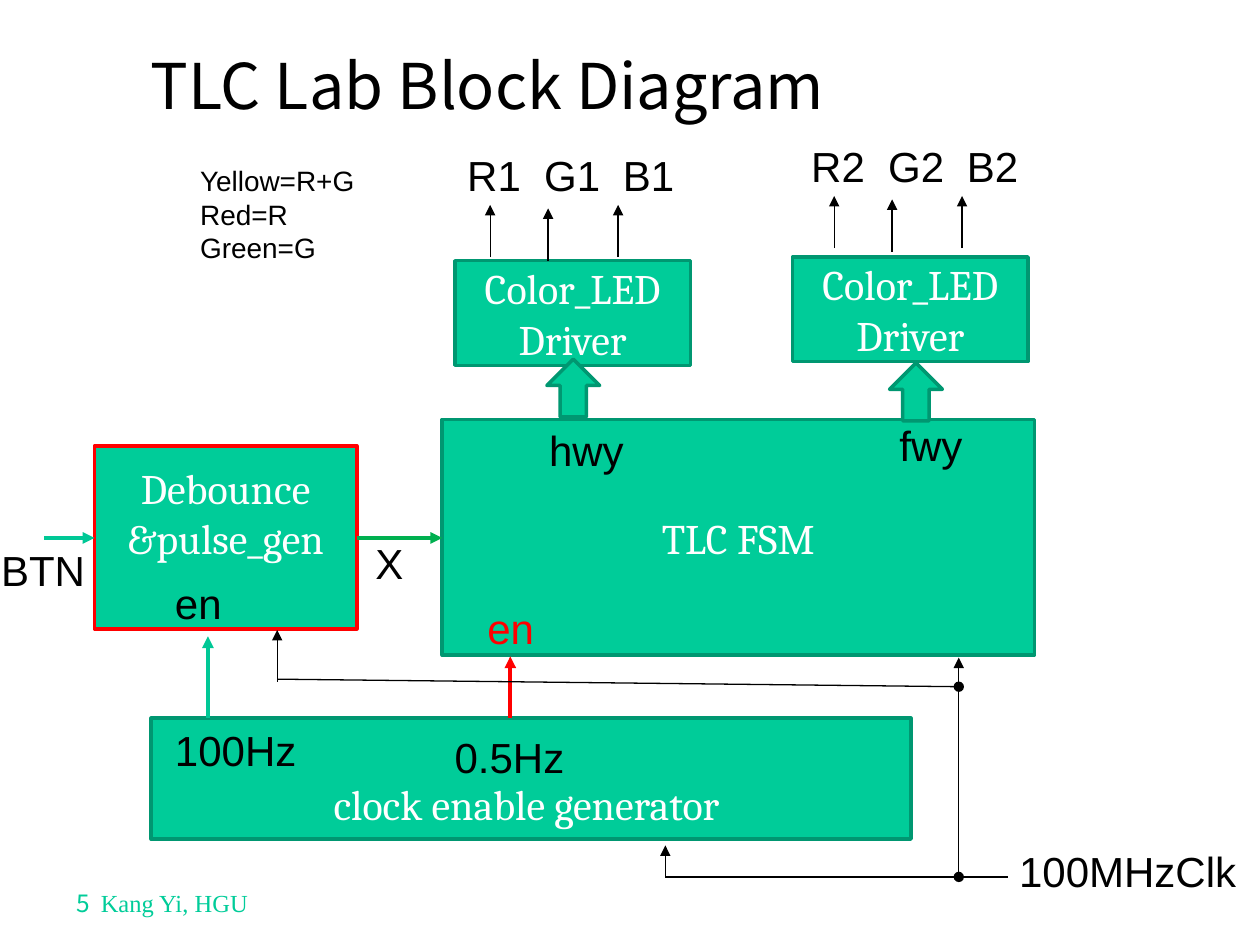
from lxml.etree import SubElement
from pptx import Presentation
from pptx.dml.color import RGBColor
from pptx.enum.shapes import MSO_CONNECTOR, MSO_SHAPE
from pptx.enum.text import MSO_ANCHOR, PP_ALIGN
from pptx.oxml.ns import qn
from pptx.util import Pt

GREEN, EDGE, MINT = "00CC99", "009771", "00C896"
BLACK, WHITE, RED = "000000", "FFFFFF", "FF0000"
SANS = "Noto Sans CJK KR"


def color(hex_code):
    return RGBColor.from_string(hex_code)


class Diagram:
    """Holds the diagram's style and the slide being drawn."""

    label_font, block_font, text_size = "Arial", "Cambria", 24

    def __init__(self, slide):
        self.slide = slide

    def set_text(self, frame, text, font, size, ink, align):
        frame.text = text
        for paragraph in frame.paragraphs:
            paragraph.alignment = align
            paragraph.font.name = font
            paragraph.font.size = Pt(size)
            paragraph.font.color.rgb = color(ink)

    def shape(self, kind, x, y, w, h, edge=EDGE, weight=2):
        shape = self.slide.shapes.add_shape(kind, Pt(x), Pt(y), Pt(w), Pt(h))
        shape.shadow.inherit = False
        shape.fill.solid()
        shape.fill.fore_color.rgb = color(GREEN)
        shape.line.color.rgb = color(edge)
        shape.line.width = Pt(weight)
        return shape

    def block(self, x, y, w, h, text, edge=EDGE, weight=2, top=3.6, bottom=3.6):
        """Draw a named block; top and bottom are its text insets."""
        frame = self.shape(MSO_SHAPE.RECTANGLE, x, y, w, h, edge, weight).text_frame
        frame.word_wrap = True
        frame.vertical_anchor = MSO_ANCHOR.MIDDLE
        frame.margin_top, frame.margin_bottom = Pt(top), Pt(bottom)
        self.set_text(frame, text, self.block_font, self.text_size, WHITE, PP_ALIGN.CENTER)

    def up_arrow(self, x, y):
        self.shape(MSO_SHAPE.UP_ARROW, x, y, 30.2, 33.1)

    def label(self, x, y, w, text, h=36, font=label_font, size=text_size,
              ink=BLACK, align=PP_ALIGN.LEFT, wrap=False, tabs=()):
        box = self.slide.shapes.add_textbox(Pt(x), Pt(y), Pt(w), Pt(h))
        frame = box.text_frame
        frame.word_wrap = wrap
        self.set_text(frame, text, font, size, ink, align)
        if tabs:
            properties = frame.paragraphs[0]._p.get_or_add_pPr()
            stops = SubElement(properties, qn("a:tabLst"))
            for stop in tabs:
                SubElement(stops, qn("a:tab"), pos=str(Pt(stop)), algn="l")
            properties.insert(0, stops)
        return frame

    def wire(self, x1, y1, x2, y2, ink=BLACK, weight=0.75, arrow=True, dot=False):
        """Draw a line, with a dot at its start or an arrow at its end."""
        line = self.slide.shapes.add_connector(
            MSO_CONNECTOR.STRAIGHT, Pt(x1), Pt(y1), Pt(x2), Pt(y2))
        line.line.color.rgb = color(ink)
        line.line.width = Pt(weight)
        properties = line._element.spPr
        stroke = properties.get_or_add_ln()
        if dot:
            SubElement(stroke, qn("a:headEnd"), type="oval")
        if arrow:
            SubElement(stroke, qn("a:tailEnd"), type="triangle")
        SubElement(properties, qn("a:effectLst"))

    def led_outputs(self, x, y, names):
        """Draw the three colour signals that leave an LED driver."""
        for dx, dy in ((20.2, 0), (53.3, 2), (93.3, 0)):
            self.wire(x + dx, y + 64.8 + dy, x + dx, y + 35 + dy)
        self.label(x, y, 134.6, names, wrap=True, tabs=(44, 89))


def main():
    deck = Presentation()
    deck.slide_width, deck.slide_height = Pt(720), Pt(540)
    diagram = Diagram(deck.slides.add_slide(deck.slide_layouts[6]))

    title = diagram.label(48.2, 18, 460.8, "TLC Lab Block Diagram", h=60, font=SANS,
                          size=36, align=PP_ALIGN.CENTER, wrap=True)
    title.vertical_anchor = MSO_ANCHOR.MIDDLE
    footer = diagram.label(36.8, 504, 131, "5", h=24, font=SANS, size=14,
                           ink=GREEN, wrap=True, tabs=(13.7,))
    author = footer.paragraphs[0].add_run()
    author.text = "\tKang Yi, HGU"
    author.font.name = "Times New Roman"

    diagram.block(252.7, 239.8, 338.4, 134.6, "TLC FSM")
    diagram.block(86.4, 410.4, 434.2, 69.1, "clock enable generator ", top=32)
    diagram.block(54, 254.9, 149.8, 104.4, "Debounce\n&pulse_gen",
                  edge=RED, weight=2.25, bottom=32)
    diagram.block(452.9, 146.9, 134.6, 59.8, "Color_LED\nDriver")
    diagram.block(259.9, 149, 134.6, 59.8, "Color_LED\nDriver")
    diagram.up_arrow(312.5, 205.2)
    diagram.up_arrow(508.3, 207.4)
    diagram.led_outputs(259.9, 82.1, "R1\tG1\tB1")
    diagram.led_outputs(456.5, 77, "R2\tG2\tB2")

    for x1, y1, x2, y2, ink in (
        (25.2, 307.4, 54, 307.4, MINT),
        (203.8, 307.4, 252.7, 307.4, "00B050"),
        (118.8, 410.4, 118.8, 363.6, MINT),
        (291.6, 410.4, 291.6, 375.1, RED),
    ):
        diagram.wire(x1, y1, x2, y2, ink, weight=2.25)

    # 100 MHz clock distribution
    diagram.wire(547.9, 501.1, 547.9, 375.8, dot=True)
    diagram.wire(380.2, 501.1, 576, 501.1, arrow=False)
    diagram.wire(380.2, 501.1, 380.2, 483.1)
    diagram.wire(547.9, 392.4, 158.4, 388.1, arrow=False, dot=True)
    diagram.wire(158.4, 389.5, 158.4, 360)

    for x, y, w, text, ink in (
        (92.9, 410.4, 85, "100Hz", BLACK),
        (252.7, 414.7, 77.8, "0.5Hz", BLACK),
        (92.9, 326.2, 41.8, "en", BLACK),
        (271.4, 340.6, 41.8, "en", RED),
        (575.3, 479.5, 139.7, "100MHzClk", BLACK),
        (306.7, 239, 57.6, "hwy", BLACK),
        (506.9, 236.2, 51.1, "fwy", BLACK),
        (-6.5, 307.4, 63.4, "BTN", BLACK),
        (207.4, 303.8, 31, "X", BLACK),
    ):
        diagram.label(x, y, w, text, ink=ink)
    diagram.label(107.3, 90, 149.8, "Yellow=R+G\nRed=R\nGreen=G", h=65.5,
                  size=16, wrap=True)

    deck.save("out.pptx")


if __name__ == "__main__":
    main()
